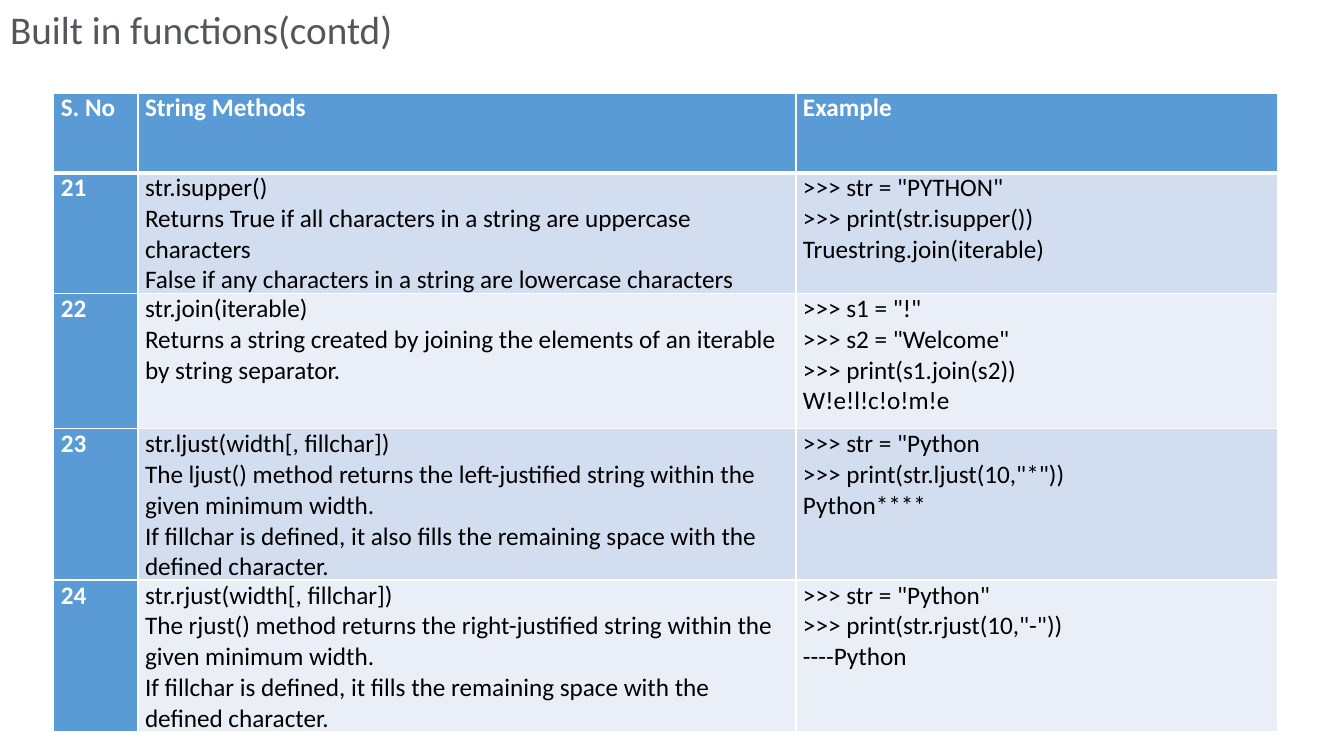
from lxml.etree import SubElement
from pptx import Presentation
from pptx.dml.color import RGBColor
from pptx.enum.text import MSO_ANCHOR as Anchor, MSO_AUTO_SIZE as AutoSize, PP_ALIGN as Align
from pptx.oxml.ns import qn
from pptx.util import Pt

WHITE = RGBColor(0xFF, 0xFF, 0xFF)
BLACK = RGBColor(0x00, 0x00, 0x00)
TITLE_GREY = RGBColor(0x53, 0x57, 0x5C)
HEADER_BLUE = RGBColor(0x5B, 0x9B, 0xD5)
BANDS = (RGBColor(0xD2, 0xDE, 0xEF), RGBColor(0xEA, 0xEF, 0xF7))

HEADERS = ["S. No", "String Methods", "Example"]
METHODS = [
    ["21",
     "str.isupper()\n"
     "Returns True if all characters in a string are uppercase characters\n"
     "False if any characters in a string are lowercase characters",
     '>>> str = "PYTHON"\n>>> print(str.isupper())\nTruestring.join(iterable)'],
    ["22",
     "str.join(iterable)\n"
     "Returns a string created by joining the elements of an iterable by string separator.",
     '>>> s1 = "!"\n>>> s2 = "Welcome"\n>>> print(s1.join(s2))\nW!e!l!c!o!m!e'],
    ["23",
     "str.ljust(width[, fillchar])\n"
     "The ljust() method returns the left-justified string within the given minimum width.\n"
     "If fillchar is defined, it also fills the remaining space with the defined character.",
     '>>> str = "Python\n>>> print(str.ljust(10,"*"))\nPython****'],
    ["24",
     "str.rjust(width[, fillchar])\n"
     "The rjust() method returns the right-justified string within the given minimum width.\n"
     "If fillchar is defined, it fills the remaining space with the defined character.",
     '>>> str = "Python"\n>>> print(str.rjust(10,"-"))\n----Python'],
]
COLUMN_WIDTHS = [60.2, 470, 344]
ROW_HEIGHTS = [57, 77, 96.5, 36, 36]


class SlideBuilder:
    """Holds the text style and the current slide."""

    def __init__(self, slide, font_name):
        self.slide = slide
        self.font_name = font_name

    def format_text(self, text_frame, size, color, bold=False):
        for paragraph in text_frame.paragraphs:
            paragraph.alignment = Align.LEFT
            for run in paragraph.runs:
                run.font.name = self.font_name
                run.font.size = Pt(size)
                run.font.bold = bold
                run.font.color.rgb = color

    def title(self, text, left, top, width, height, size):
        shape = self.slide.shapes.title
        shape.left, shape.top, shape.width, shape.height = map(Pt, (left, top, width, height))
        text_frame = shape.text_frame
        text_frame.text = text
        text_frame.word_wrap = False
        text_frame.auto_size = AutoSize.SHAPE_TO_FIT_TEXT
        text_frame.vertical_anchor = Anchor.TOP
        self.format_text(text_frame, size, TITLE_GREY)

    def borders(self, cell, top, bottom):
        properties = cell._tc.get_or_add_tcPr()
        sides = {"lnL": 1, "lnR": 1, "lnT": top, "lnB": bottom}
        for side, width in sides.items():
            line = SubElement(properties, qn(f"a:{side}"), w=str(Pt(width)))
            fill = SubElement(line, qn("a:solidFill"))
            SubElement(fill, qn("a:srgbClr"), val=str(WHITE))

    def table(self, rows, left, top, widths, heights, size):
        frame = self.slide.shapes.add_table(
            len(rows), len(widths), Pt(left), Pt(top), Pt(sum(widths)), Pt(sum(heights)))
        table = frame.table
        table.first_col = True
        for column, width in zip(table.columns, widths):
            column.width = Pt(width)
        for row, height in zip(table.rows, heights):
            row.height = Pt(height)
        for row_index, texts in enumerate(rows):
            for column_index, text in enumerate(texts):
                cell = table.cell(row_index, column_index)
                is_header = row_index == 0 or column_index == 0
                cell.margin_left = cell.margin_right = Pt(5)
                cell.margin_top = cell.margin_bottom = 0
                # A thick rule separates the header row from the body
                self.borders(cell, top=3 if row_index == 1 else 1,
                             bottom=3 if row_index == 0 else 1)
                cell.fill.solid()
                cell.fill.fore_color.rgb = HEADER_BLUE if is_header else BANDS[(row_index - 1) % 2]
                cell.text_frame.text = text
                self.format_text(cell.text_frame, size, WHITE if is_header else BLACK, is_header)


def main():
    presentation = Presentation()
    presentation.slide_width, presentation.slide_height = Pt(960), Pt(540)
    title_only = presentation.slide_layouts[5]
    builder = SlideBuilder(presentation.slides.add_slide(title_only), "Calibri")

    # Heading
    builder.title("Built in functions(contd)", 0, 0, 288, 41, size=28)

    # Table of string methods
    builder.table([HEADERS] + METHODS, 38.4, 66.4, COLUMN_WIDTHS, ROW_HEIGHTS, size=18)

    presentation.save("out.pptx")


if __name__ == "__main__":
    main()
